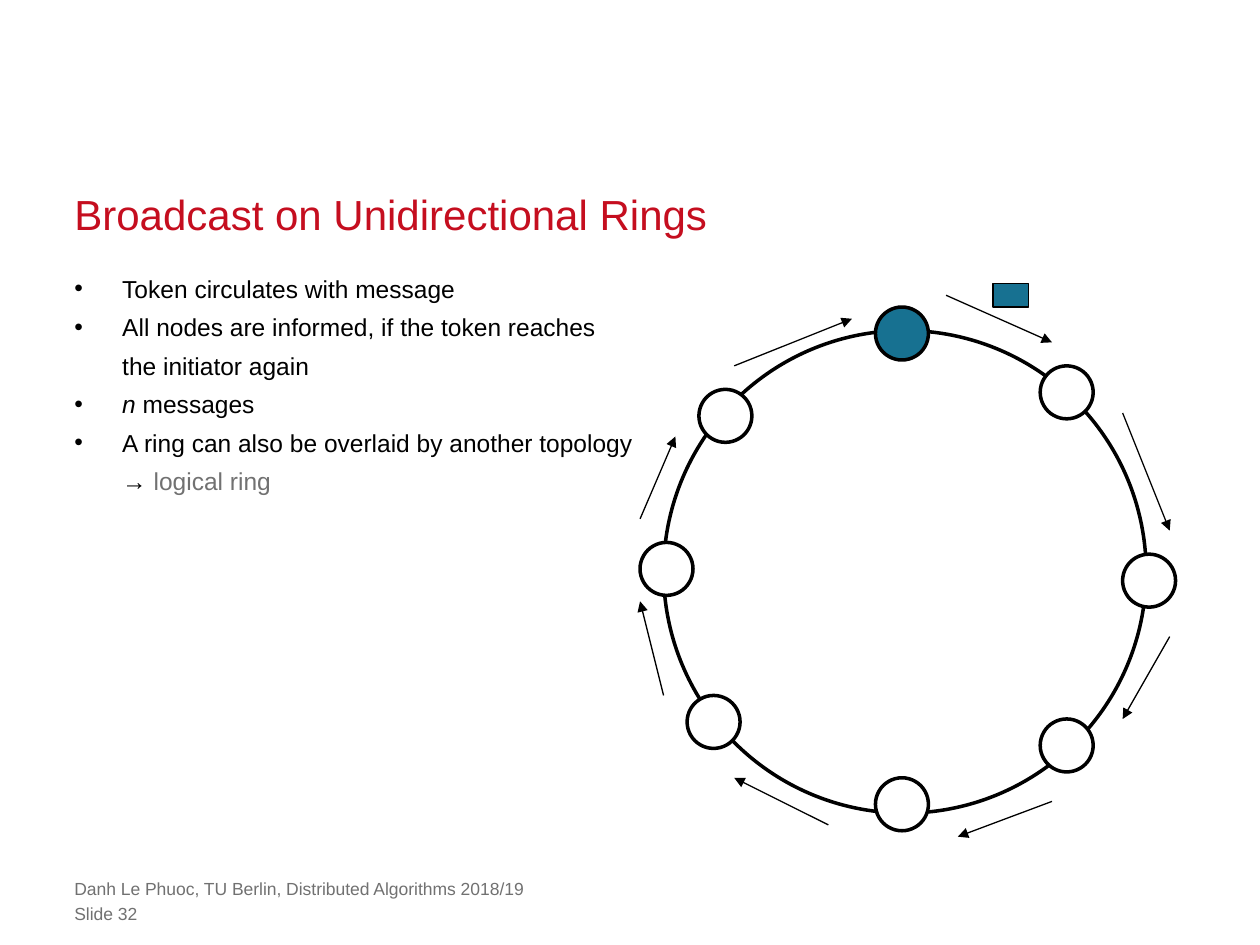
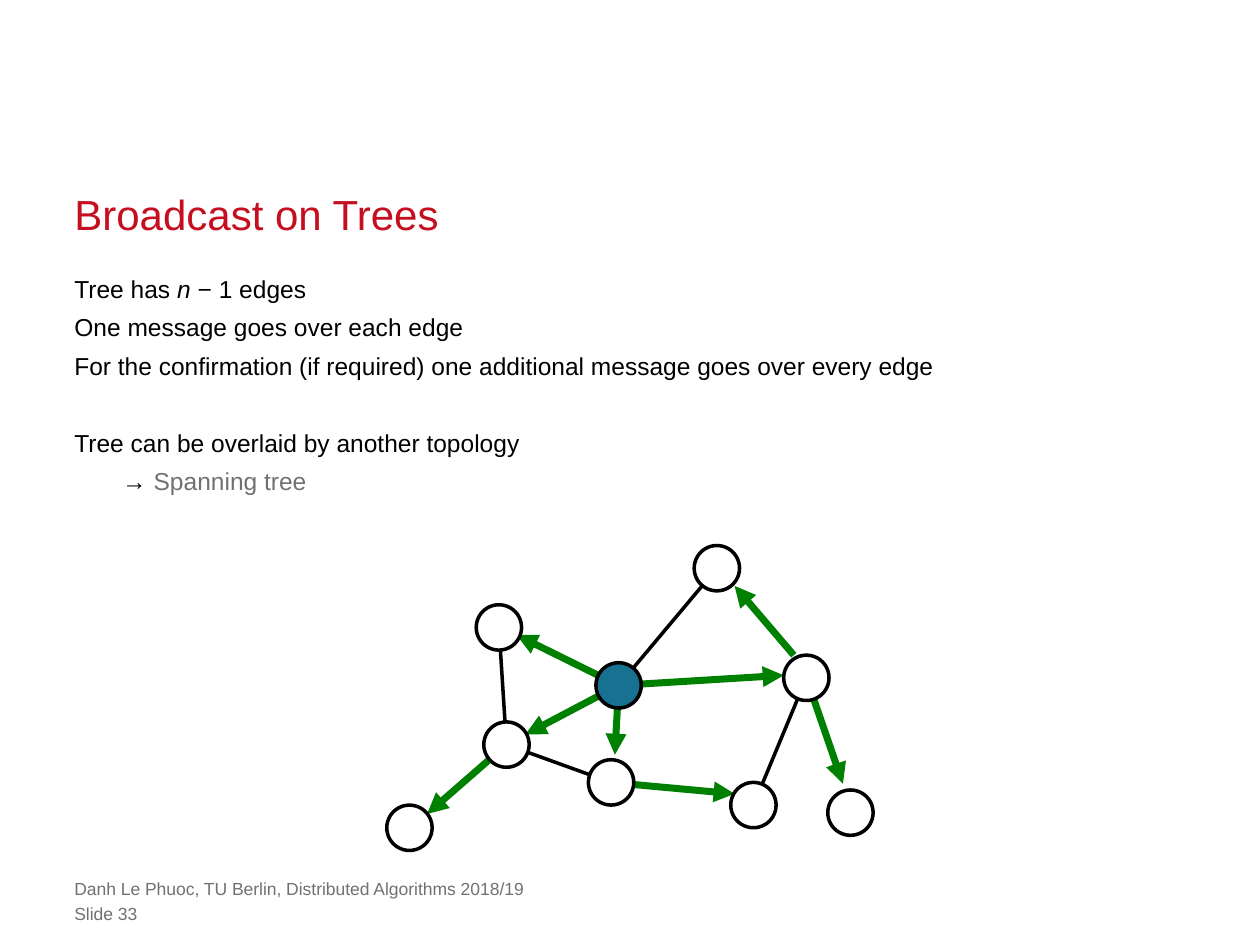
from dataclasses import dataclass
from typing import NamedTuple

from lxml import etree
from pptx import Presentation
from pptx.dml.color import RGBColor
from pptx.enum.shapes import MSO_CONNECTOR, MSO_SHAPE
from pptx.enum.text import MSO_ANCHOR, PP_ALIGN
from pptx.oxml.ns import qn
from pptx.util import Emu, Inches, Pt

STRAIGHT = MSO_CONNECTOR.STRAIGHT
OVAL, RECTANGLE = MSO_SHAPE.OVAL, MSO_SHAPE.RECTANGLE
TOP, BOTTOM = MSO_ANCHOR.TOP, MSO_ANCHOR.BOTTOM
LEFT = PP_ALIGN.LEFT

FONT = "Arial"
RED, BLUE, GREEN = "C50E1F", "177191", "008000"
BLACK, GREY, WHITE = "000000", "717171", "FFFFFF"
THIN, NORMAL, THICK = 0.75, 2, 4
COURSE = "Danh Le Phuoc, TU Berlin, Distributed Algorithms 2018/19"

Point = tuple[float, float]
Box = tuple[float, float, float, float]


@dataclass(frozen=True)
class Grid:
    """Square cells; origin and step are in inches."""
    left: float
    top: float
    step: float

    def point(self, column: float, row: float) -> tuple[Emu, Emu]:
        return Inches(self.left + column * self.step), Inches(self.top + row * self.step)

    def box(self, column: float, row: float, columns: float, rows: float) -> tuple[Emu, ...]:
        return *self.point(column, row), Inches(columns * self.step), Inches(rows * self.step)


class Run(NamedTuple):
    text: str
    italic: bool = False
    color: str | None = None


class Paragraph(NamedTuple):
    runs: list[Run]
    space_before: float = 0


class Edge(NamedTuple):
    """Ends are node names, or points where an arrow stops at a node's rim."""
    start: str | Point
    end: str | Point
    carries_message: bool = True


PAGE = Grid(0, 0, 0.1)
TITLE_BOX = (5.9, 14.8, 88.2, 4.2)
BODY_BOX = (5.9, 21, 88.2, 44.5)
COURSE_BOX = (5.9, 69.7, 72.4, 1.7)
NUMBER_BOX = (5.9, 71.7, 72.4, 1.7)

RING_CELLS = 41
RING = Grid(5.08, 2.25, 3.83 / RING_CELLS)
RING_NODE_SIZE = 4.5
RING_INITIATOR = (20, 2)
RING_NODES = [(41, 23), (20, 42), (0, 22), (5, 9), (34, 7), (34, 37), (4, 35)]
RING_HOPS = [
    ((26, 1), (35, 5)), ((41, 11), (45, 21)), ((45, 30), (41, 37)), ((35, 44), (27, 47)),
    ((16, 46), (8, 42)), ((2, 35), (0, 27)), ((0, 20), (3, 13)), ((8, 7), (18, 3)),
]

TREE_NODE_SIZE = 3.6
TREE_NODES = {
    "initiator": (49.1, 54.4), "west": (40.2, 59.1), "southeast": (59.8, 63.9),
    "east": (64, 53.8), "far east": (67.5, 64.5), "south": (48.5, 62.1),
    "far west": (32.5, 65.7), "northwest": (39.6, 49.8), "north": (56.9, 45.1),
}
TREE_EDGES = [
    Edge("northwest", "west", False),
    Edge("initiator", "north", False),
    Edge("west", "south", False),
    Edge("southeast", "east", False),
    Edge("initiator", (41, 50.4)),
    Edge("west", (33.9, 64.6)),
    Edge("initiator", (41.7, 58.3)),
    Edge("initiator", (62.2, 53.6)),
    Edge("initiator", (48.8, 59.9)),
    Edge("south", (58.3, 63)),
    Edge("east", (66.9, 62.2)),
    Edge((63, 52), (58.3, 46.5)),
]


def rgb(color: str) -> RGBColor:
    return RGBColor.from_string(color)


def write(shape, paragraphs: list[Paragraph], *, size: float, color: str = BLACK,
          line_height: float | None = None, hanging: float = 0, bullet: str = "",
          anchor=TOP) -> None:
    frame = shape.text_frame
    frame.word_wrap = True
    frame.vertical_anchor = anchor
    frame.margin_left = frame.margin_top = frame.margin_right = frame.margin_bottom = 0
    for index, content in enumerate(paragraphs):
        paragraph = frame.paragraphs[0] if index == 0 else frame.add_paragraph()
        paragraph.alignment = LEFT
        paragraph.space_before = Pt(content.space_before)
        if line_height:
            paragraph.line_spacing = Pt(line_height)
        properties = paragraph._p.get_or_add_pPr()
        if hanging:
            properties.set("marL", str(Inches(hanging)))
            properties.set("indent", str(-Inches(hanging)))
        if bullet:
            etree.SubElement(properties, qn("a:buFont"), typeface=FONT)
            etree.SubElement(properties, qn("a:buChar"), char=bullet)
        for piece in content.runs:
            for line_index, line in enumerate(piece.text.split("\n")):
                if line_index:
                    paragraph.add_line_break()
                run = paragraph.add_run()
                run.text = line
                run.font.name = FONT
                run.font.size = Pt(size)
                run.font.italic = piece.italic
                run.font.color.rgb = rgb(piece.color or color)


def plain(text: str) -> Paragraph:
    return Paragraph([Run(text)])


def add_text(slide, box: Box, paragraphs: list[Paragraph], **style) -> None:
    write(slide.shapes.add_textbox(*PAGE.box(*box)), paragraphs, **style)


def add_figure(slide, kind, grid: Grid, box: Box, fill: str | None = WHITE,
               width: float = NORMAL) -> None:
    figure = slide.shapes.add_shape(kind, *grid.box(*box))
    figure.shadow.inherit = False
    if fill:
        figure.fill.solid()
        figure.fill.fore_color.rgb = rgb(fill)
    else:
        figure.fill.background()
    figure.line.color.rgb = rgb(BLACK)
    figure.line.width = Pt(width)


def add_line(slide, grid: Grid, start: Point, end: Point, color: str = BLACK,
             width: float = NORMAL, arrow: bool = True) -> None:
    line = slide.shapes.add_connector(STRAIGHT, *grid.point(*start), *grid.point(*end))
    line.line.color.rgb = rgb(color)
    line.line.width = Pt(width)
    if arrow:
        etree.SubElement(line.line._get_or_add_ln(), qn("a:tailEnd"), type="triangle")
    etree.SubElement(line._element.spPr, qn("a:effectLst"))


def add_slide(deck, title: str, number: int, body: list[Paragraph], bullet: str = ""):
    """Add a slide with its title, body text and footer."""
    slide = deck.slides.add_slide(deck.slide_layouts.get_by_name("Title Only"))
    heading = slide.shapes.title
    heading.left, heading.top, heading.width, heading.height = PAGE.box(*TITLE_BOX)
    write(heading, [plain(title)], size=24, color=RED, line_height=30, anchor=BOTTOM)
    add_text(slide, BODY_BOX, body, size=14, line_height=22, hanging=0.38, bullet=bullet)
    for box, footer in ((COURSE_BOX, COURSE), (NUMBER_BOX, f"Slide {number}")):
        add_text(slide, box, [plain(footer)], size=10, color=GREY)
    return slide


def build_ring_slide(deck) -> None:
    slide = add_slide(deck, "Broadcast on Unidirectional Rings", 32, [
        plain("Token circulates with message"),
        plain("All nodes are informed, if the token reaches\nthe initiator again"),
        Paragraph([Run("n", italic=True), Run(" messages")]),
        Paragraph([Run("A ring can also be overlaid by another topology\n→ "),
                   Run("logical ring", color=GREY)]),
    ], bullet="•")
    add_figure(slide, OVAL, RING, (2, 4, RING_CELLS, RING_CELLS), fill=None)
    for node in [RING_INITIATOR, *RING_NODES]:
        add_figure(slide, OVAL, RING, (*node, RING_NODE_SIZE, RING_NODE_SIZE),
                   BLUE if node == RING_INITIATOR else WHITE)
    for start, end in RING_HOPS:
        add_line(slide, RING, start, end, width=THIN)
    add_figure(slide, RECTANGLE, RING, (30, 0, 3, 2), BLUE, THIN)


def build_tree_slide(deck) -> None:
    slide = add_slide(deck, "Broadcast on Trees", 33, [
        Paragraph([Run("Tree has "), Run("n", italic=True), Run(" − 1 edges")]),
        plain("One message goes over each edge"),
        plain("For the confirmation (if required) one additional message goes over every edge"),
        Paragraph([Run("Tree can be overlaid by another topology\n→ "),
                   Run("Spanning tree", color=GREY)], space_before=22),
    ])
    for edge in TREE_EDGES:
        start, end = (TREE_NODES[place] if isinstance(place, str) else place
                      for place in (edge.start, edge.end))
        color, width = (GREEN, THICK) if edge.carries_message else (BLACK, NORMAL)
        add_line(slide, PAGE, start, end, color, width, edge.carries_message)
    radius = TREE_NODE_SIZE / 2
    for name, (column, row) in TREE_NODES.items():
        add_figure(slide, OVAL, PAGE,
                   (column - radius, row - radius, TREE_NODE_SIZE, TREE_NODE_SIZE),
                   BLUE if name == "initiator" else WHITE)


def main() -> None:
    deck = Presentation()
    deck.slide_width, deck.slide_height = Inches(10), Inches(7.5)
    build_ring_slide(deck)
    build_tree_slide(deck)
    deck.save("out.pptx")


if __name__ == "__main__":
    main()
